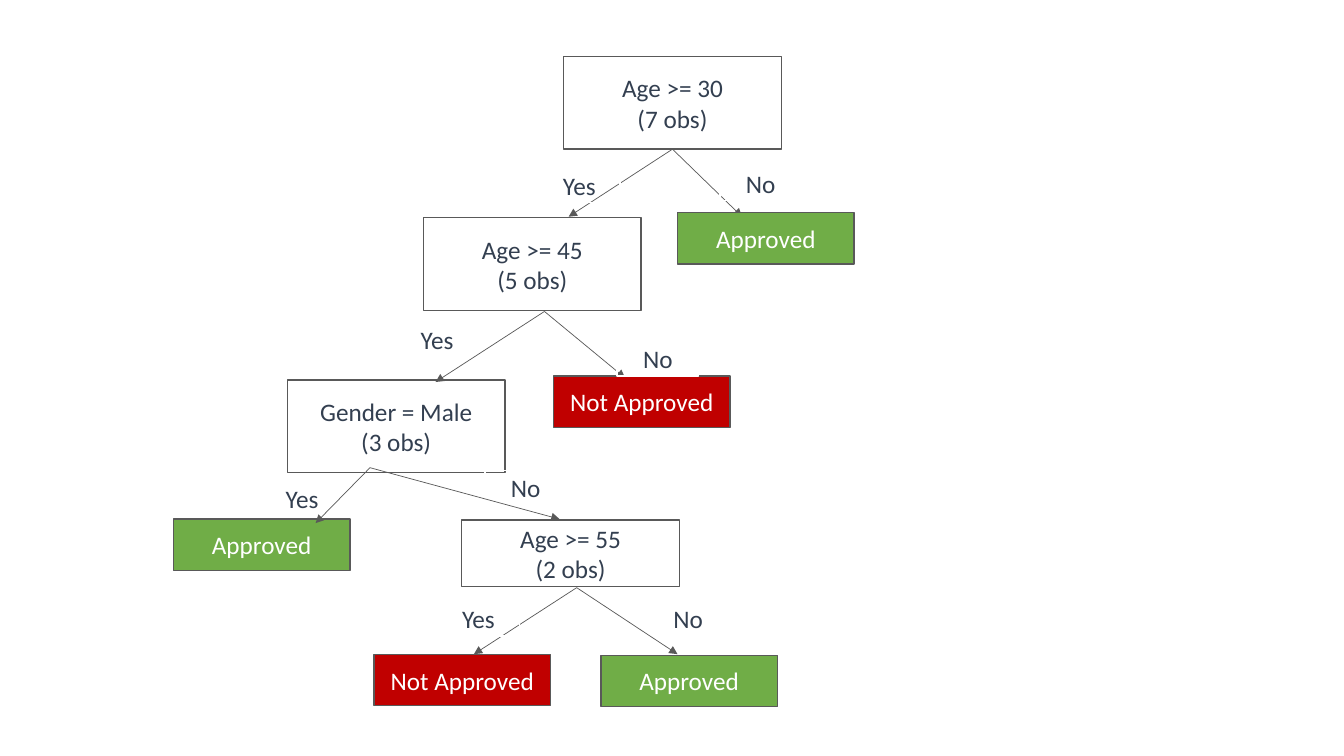
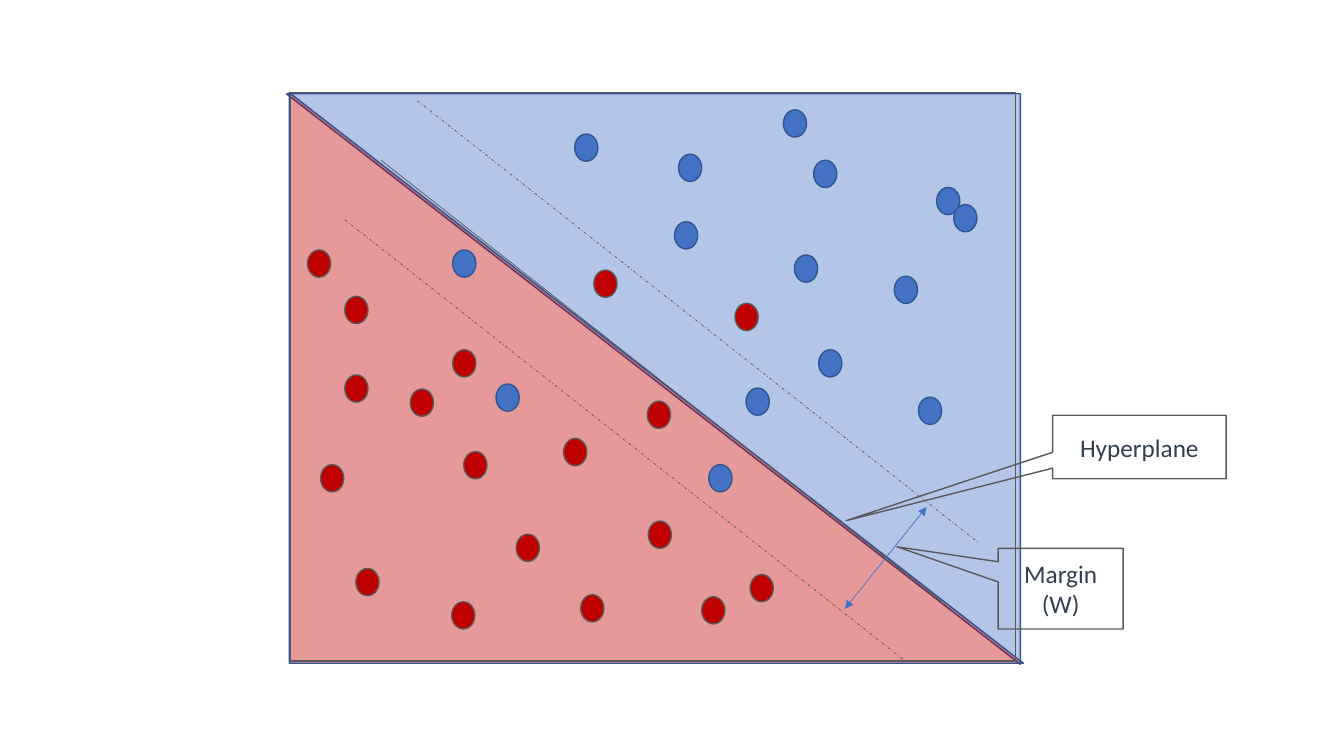
from lxml.etree import SubElement
from pptx import Presentation
from pptx.dml.color import RGBColor
from pptx.enum.dml import MSO_LINE
from pptx.enum.shapes import MSO_CONNECTOR, MSO_SHAPE
from pptx.enum.text import MSO_ANCHOR, PP_ALIGN
from pptx.oxml.ns import qn
from pptx.util import Inches, Pt

WHITE = RGBColor(0xFF, 0xFF, 0xFF)
INK = RGBColor(0x33, 0x3F, 0x50)
GRAY = RGBColor(0x59, 0x59, 0x59)
GREEN = RGBColor(0x70, 0xAD, 0x47)
RED = RGBColor(0xC0, 0x00, 0x00)
BLUE = RGBColor(0x44, 0x72, 0xC4)
NAVY = RGBColor(0x32, 0x54, 0x91)


class Diagram:
    """Shared style and the slide being drawn."""
    FONT, SIZE = "Calibri", Pt(18)

    def __init__(self):
        self.deck = Presentation()
        self.deck.slide_width = Inches(13.33)
        self.deck.slide_height = Inches(7.5)
        self.slide = None

    def new_slide(self):
        self.slide = self.deck.slides.add_slide(self.deck.slide_layouts[6])

    def shape(self, kind, box, fill=None, outline=GRAY, opacity=None):
        shape = self.slide.shapes.add_shape(kind, *map(Inches, box))
        shape.shadow.inherit = False
        shape.line.color.rgb = outline
        shape.line.width = Pt(1)
        if fill is None:
            shape.fill.background()
        else:
            shape.fill.solid()
            shape.fill.fore_color.rgb = fill
        if opacity is not None:
            color = shape._element.spPr.find(qn("a:solidFill"))[0]
            SubElement(color, qn("a:alpha"), val=str(opacity * 1000))
        return shape

    def caption(self, shape, text, color=INK):
        frame = shape.text_frame
        frame.word_wrap = True
        frame.vertical_anchor = MSO_ANCHOR.MIDDLE
        frame.text = text
        for paragraph in frame.paragraphs:
            paragraph.alignment = PP_ALIGN.CENTER
            paragraph.font.name = self.FONT
            paragraph.font.size = self.SIZE
            paragraph.font.color.rgb = color

    def question(self, left, top, text, height=0.92):
        self.caption(self.shape(MSO_SHAPE.RECTANGLE, (left, top, 2.16, height)), text)

    def outcome(self, left, top, approved):
        box = self.shape(MSO_SHAPE.RECTANGLE, (left, top, 1.75, 0.51),
                         GREEN if approved else RED)
        self.caption(box, "Approved" if approved else "Not Approved", WHITE)

    def answer(self, left, top, text):
        box = self.shape(MSO_SHAPE.RECTANGLE, (left, top, 0.81, 0.34), outline=WHITE)
        self.caption(box, text)

    def line(self, start, end, color=GRAY, dash=None, arrows=()):
        line = self.slide.shapes.add_connector(
            MSO_CONNECTOR.STRAIGHT, *map(Inches, (*start, *end)))
        line.line.color.rgb = color
        line.line.width = Pt(0.5)
        if dash is not None:
            line.line.dash_style = dash
        properties = line._element.spPr
        for side in arrows:
            SubElement(properties.find(qn("a:ln")), qn(f"a:{side}"), type="triangle")
        SubElement(properties, qn("a:effectLst"))

    def branches(self, start, *ends):
        for end in ends:
            self.line(start, end, arrows=("tailEnd",))

    def dots(self, fill, outline, places):
        for left, top in places:
            self.shape(MSO_SHAPE.OVAL, (left, top, 0.23, 0.27), fill, outline)

    def callout(self, box, pointer, text):
        callout = self.shape(MSO_SHAPE.RECTANGULAR_CALLOUT, box)
        callout.adjustments[0], callout.adjustments[1] = pointer
        self.caption(callout, text)


diagram = Diagram()

# Slide 1: decision tree, level by level
diagram.new_slide()
diagram.question(5.59, 0.56, "Age >= 30\n(7 obs)")
diagram.branches((6.67, 1.48), (5.64, 2.15), (7.36, 2.15))
diagram.answer(5.34, 1.67, "Yes")
diagram.answer(7.14, 1.65, "No")
diagram.outcome(6.72, 2.11, True)

diagram.question(4.2, 2.16, "Age >= 45\n(5 obs)")
diagram.answer(3.93, 3.2, "Yes")
diagram.branches((5.4, 3.09), (4.32, 3.79), (6.2, 3.75))
diagram.outcome(5.49, 3.73, False)
diagram.answer(6.12, 3.39, "No")

diagram.question(2.85, 3.77, "Gender = Male\n(3 obs)")
diagram.outcome(1.72, 5.15, True)
diagram.answer(2.59, 4.77, "Yes")
diagram.answer(4.81, 4.67, "No")
diagram.branches((3.67, 4.64), (3.13, 5.19), (5.55, 5.15))

diagram.question(4.58, 5.16, "Age >= 55\n(2 obs)", height=0.66)
diagram.answer(6.42, 5.97, "No")
diagram.branches((5.72, 5.83), (4.7, 6.49), (6.72, 6.49))
diagram.answer(4.34, 5.97, "Yes")
diagram.outcome(3.71, 6.49, False)
diagram.outcome(5.96, 6.5, True)

# Slide 2: two classes split by a hyperplane
diagram.new_slide()
blue_side = diagram.shape(MSO_SHAPE.RIGHT_TRIANGLE, (2.84, 0.93, 7.28, 5.66),
                          BLUE, NAVY, opacity=40)
blue_side.rotation = 180
diagram.shape(MSO_SHAPE.RIGHT_TRIANGLE, (2.87, 0.92, 7.28, 5.66),
              RED, NAVY, opacity=40)
diagram.shape(MSO_SHAPE.RECTANGLE, (2.88, 0.92, 7.19, 5.64))

# Hyperplane with a parallel margin line on either side
for side in (0, 1, -1):
    x, y = 3.78 + 0.36 * side, 1.59 - 0.59 * side
    diagram.line((x, y), (x + 5.56, y + 4.38),
                 dash=MSO_LINE.DASH_DOT if side else None)

# Observations
diagram.dots(BLUE, NAVY, [
    (5.7, 1.33), (6.73, 1.53), (6.69, 2.2), (8.07, 1.59), (8.87, 2.74),
    (7.88, 2.53), (7.77, 1.09), (9.11, 3.94), (8.12, 3.47), (9.29, 1.86),
    (9.46, 2.03), (4.92, 3.81), (4.49, 2.48), (7.03, 4.61), (7.4, 3.85)])
diagram.dots(RED, GRAY, [
    (3.42, 2.94), (4.49, 3.47), (3.42, 3.72), (3.18, 4.61), (5.59, 4.35),
    (6.96, 5.92), (4.07, 3.86), (6.43, 5.17), (3.53, 5.64), (4.6, 4.48),
    (3.05, 2.48), (7.44, 5.7), (5.12, 5.3), (4.48, 5.97), (5.76, 5.9),
    (5.89, 2.68), (7.29, 3.01), (6.42, 3.98)])

# Margin width and callouts
diagram.line((8.38, 6.04), (9.19, 5.03), BLUE, arrows=("headEnd", "tailEnd"))
diagram.callout((9.9, 5.44, 1.24, 0.8), (-1.31, -0.52), "Margin (W)")
diagram.callout((10.44, 4.12, 1.72, 0.63), (-1.69, 1.16), "Hyperplane")

diagram.deck.save("out.pptx")
